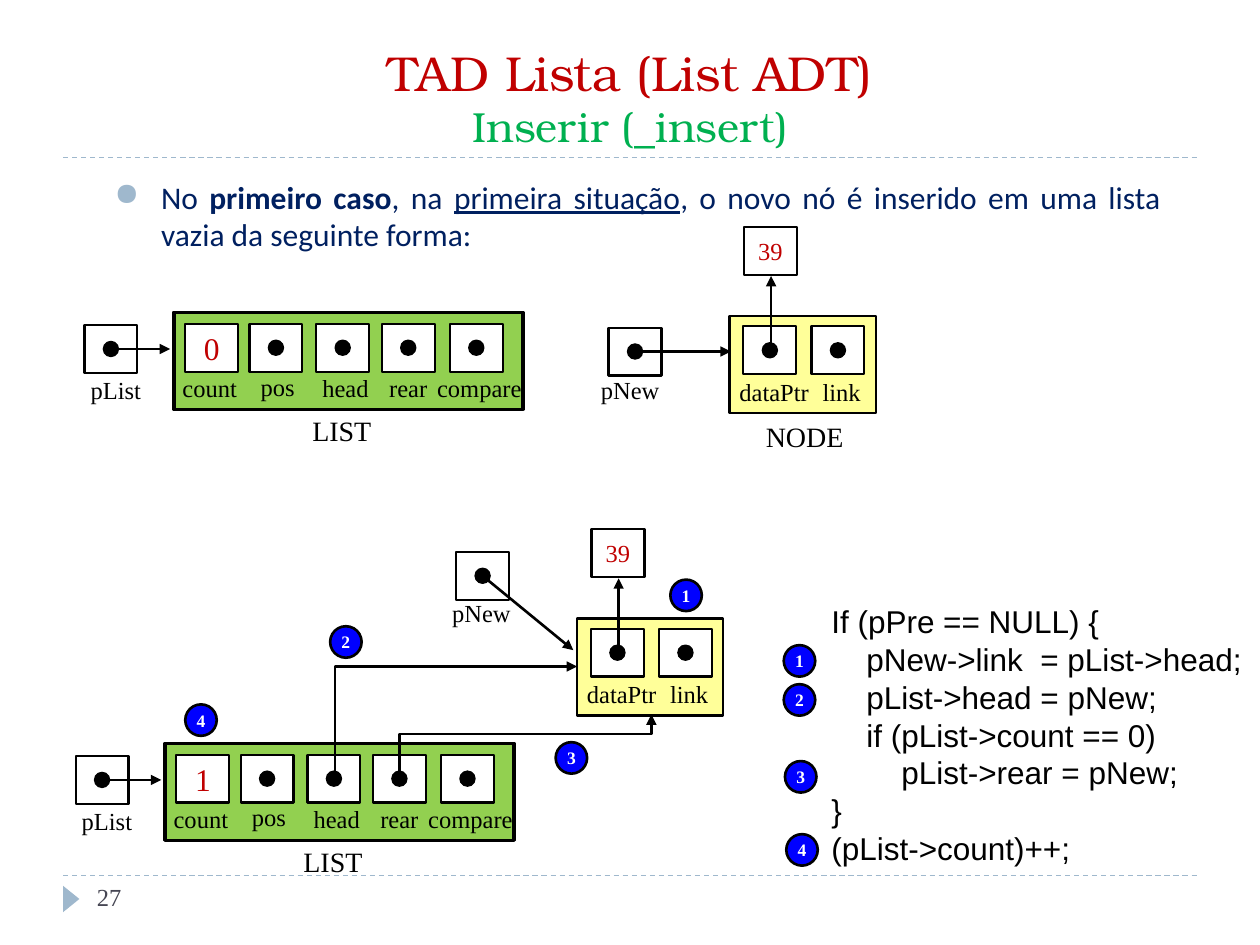
import pptx
import pptx.util
import pptx.dml.color
import pptx.enum.dml
import pptx.enum.shapes
import pptx.enum.text
import pptx.oxml
import pptx.oxml.ns

SHAPE = pptx.enum.shapes.MSO_SHAPE
LINK = pptx.enum.shapes.MSO_CONNECTOR
ALIGN = pptx.enum.text.PP_ALIGN
ANCHOR = pptx.enum.text.MSO_ANCHOR
SERIF = "Times New Roman"
COLS, ROWS = 100, 75
UNIT = pptx.util.Inches(0.1)
CELL_W, CELL_H, DOT, BADGE = 4.2, 3.8, 1.2, 2.5


def grid(*values):
    """Turn columns or rows into lengths."""
    return [round(v * UNIT) for v in values]


def rgb(value):
    """Turn a hex string into a colour."""
    return pptx.dml.color.RGBColor.from_string(value)


def add_xml(parent, tag, **attrs):
    """Append a DrawingML element and return it."""
    el = pptx.oxml.parse_xml(f"<a:{tag} {pptx.oxml.ns.nsdecls('a')}/>")
    for name, value in attrs.items():
        el.set(name, str(value))
    parent.append(el)
    return el


def style(r, size, color, font=SERIF, bold=False):
    """Format one run."""
    r.font.size, r.font.name, r.font.bold = pptx.util.Pt(size), font, bold
    r.font.color.rgb = rgb(color)


def shape(s, kind, box, fill, line=None, weight=1.25):
    """Add a flat preset shape."""
    sp = s.shapes.add_shape(kind, *grid(*box))
    sp.shadow.inherit = False
    sp.fill.solid()
    sp.fill.fore_color.rgb = rgb(fill)
    if line:
        sp.line.color.rgb = rgb(line)
        sp.line.width = pptx.util.Pt(weight)
    else:
        sp.line.fill.background()
    return sp


def center_text(sp, text, size, color, bold=False):
    """Write one centred word in a shape."""
    tf = sp.text_frame
    tf.text, tf.word_wrap = text, False
    tf.vertical_anchor = ANCHOR.MIDDLE
    p = tf.paragraphs[0]
    p.alignment = ALIGN.CENTER
    style(p.runs[0], size, color, bold=bold)


def label(s, box, text, size=14, color="000000"):
    """Add a one-line text box."""
    tf = s.shapes.add_textbox(*grid(*box)).text_frame
    tf.text, tf.word_wrap = text, False
    style(tf.paragraphs[0].runs[0], size, color)


def connect(s, start, end, kind=LINK.STRAIGHT, color="000000", weight=1.5, arrow=True):
    """Add a line without shadow, with an optional arrowhead."""
    c = s.shapes.add_connector(kind, *grid(*start, *end))
    c.line.color.rgb = rgb(color)
    c.line.width = pptx.util.Pt(weight)
    if arrow:
        add_xml(c.line._get_or_add_ln(), "tailEnd", type="triangle")
    add_xml(c._element.spPr, "effectLst")
    return c


def elbow(s, start, end, preset, bend=None):
    """Add a bent arrow that leaves its start upwards."""
    (x1, y1), (x2, y2) = start, end
    cx, cy, w, h = (x1 + x2) / 2, (y1 + y2) / 2, y1 - y2, x2 - x1
    c = connect(s, (cx - w / 2, cy - h / 2), (cx + w / 2, cy + h / 2), LINK.ELBOW)
    sp_pr = c._element.spPr
    sp_pr.find(pptx.oxml.ns.qn("a:xfrm")).set("rot", str(270 * 60000))
    geom = sp_pr.find(pptx.oxml.ns.qn("a:prstGeom"))
    geom.set("prst", preset)
    if bend:
        guides = geom.find(pptx.oxml.ns.qn("a:avLst"))
        add_xml(guides, "gd", name="adj1", fmla=f"val {round(bend * 100000)}")


def cell(s, x, y, text=None, size=14):
    """Add a white field, holding a value if one is given."""
    sp = shape(s, SHAPE.RECTANGLE, (x, y, CELL_W, CELL_H), "FFFFFF", "000000")
    if text:
        center_text(sp, text, size, "C00000")


def dot(s, x, y):
    """Add the dot that stands for a pointer, at the middle of its field."""
    shape(s, SHAPE.OVAL, (x + (CELL_W - DOT) / 2, y + (CELL_H - DOT) / 2, DOT, DOT), "000000", "000000", 0.75)


def pointer(s, x, y, name, name_box, tip):
    """Add a named pointer field with an arrow to its target."""
    cell(s, x, y)
    label(s, name_box, name)
    connect(s, (x + CELL_W / 2, y + CELL_H / 2), tip)
    dot(s, x, y)


def list_record(s, x, y, count):
    """Draw the LIST record and pList, with the record's corner at x, y."""
    g = s.shapes.add_group_shape()
    pointer(g, x - 7.1, y + 1, "pList", (x - 7.6, y + 4.5, 6.1, 3.4), (x - 0.3, y + 2.9))
    label(g, (x + 10, y + 7.5, 6.8, 3.7), "LIST", 16)
    shape(g, SHAPE.RECTANGLE, (x, y, 27.7, 7.7), "92D050", "000000", 2)
    fields = [("count", 0.9, -0.3, 6.4), ("pos", 6, 5.9, 4.8), ("head", 11.3, 10.8, 5.7),
              ("rear", 16.5, 16.1, 5.1), ("compare", 21.9, 19.9, 8.8)]
    for name, dx, label_dx, width in fields:
        first = name == "count"
        cell(g, x + dx, y + 0.9, count if first else None, 18)
        label(g, (x + label_dx, y + (4.2 if name == "pos" else 4.3), width, 3.4), name)
        if not first:
            dot(g, x + dx, y + 0.9)


def node_record(s, x, y, data, pointer_at, name_at, tip):
    """Draw the node with its data and pNew, with the node's corner at x, y."""
    g = s.shapes.add_group_shape()
    shape(g, SHAPE.RECTANGLE, (x, y, 11.6, 7.7), "FFFF99", "000000")
    for name, dx, label_dx, width in [("dataPtr", 1.1, -0.2, 7.6), ("link", 6.5, 6.4, 5.1)]:
        cell(g, x + dx, y + 0.8)
        label(g, (x + label_dx, y + 4.3, width, 3.4), name)
        dot(g, x + dx, y + 0.8)
    connect(g, (x + 3.3, y + 2.5), (x + 3.3, y - 3.2))
    cell(g, x + 1.15, y - 7.1, data)
    pointer(g, *pointer_at, "pNew", (*name_at, 6.7, 3.4), tip)


def heading(s, x, y, w, h):
    """Write the two-line title."""
    tf = s.shapes.add_textbox(*grid(x, y, w, h)).text_frame
    tf.word_wrap, tf.vertical_anchor = True, ANCHOR.BOTTOM
    tf.text = "TAD Lista (List ADT)\vInserir (_insert)"
    p = tf.paragraphs[0]
    p.alignment = ALIGN.CENTER
    for r, size, color in zip(p.runs, (28, 24), ("C00000", "00B050")):
        style(r, size, color, "TeX Gyre Bonum")


def statement(s, x, y, w, h):
    """Write the bulleted sentence."""
    tf = s.shapes.add_textbox(*grid(x, y, w, h)).text_frame
    tf.word_wrap = True
    p = tf.paragraphs[0]
    p.alignment = ALIGN.JUSTIFY
    parts = ["No ", "primeiro caso", ", na ", "primeira situação",
             ", o novo nó é inserido em uma lista vazia da seguinte forma:"]
    for i, text in enumerate(parts):
        r = p.add_run()
        r.text = text
        style(r, 18, "002060", "Calibri", i == 1)
        r.font.underline = i == 3
    p_pr = p._p.get_or_add_pPr()
    indent, = grid(3.7)
    p_pr.set("marL", str(indent))
    p_pr.set("indent", str(-indent))
    add_xml(add_xml(p_pr, "buClr"), "srgbClr", val="9FB8CD")
    add_xml(p_pr, "buChar", char="●")


def code(s, x, y, w, h):
    """Write the code, one paragraph a line, indented by level."""
    tf = s.shapes.add_textbox(*grid(x, y, w, h)).text_frame
    tf.word_wrap = False
    lines = [(0, "If (pPre == NULL) {"), (1, "pNew->link  = pList->head;"), (1, "pList->head = pNew;"),
             (1, "if (pList->count == 0)"), (2, "pList->rear = pNew;"), (0, "}"), (0, "(pList->count)++;")]
    tf.text = "\n".join(text for _, text in lines)
    for p, (level, _) in zip(tf.paragraphs, lines):
        p._p.get_or_add_pPr().set("marL", str(grid(2.78 * level)[0]))
        style(p.runs[0], 18, "000000", "Arial")


def frame(s):
    """Add the rules, the corner mark and the page number."""
    for y in (12.5, 69.5):
        c = connect(s, (5, y), (COLS - 5, y), color="9FB8CD", weight=0.75, arrow=False)
        c.line.dash_style = pptx.enum.dml.MSO_LINE.DASH
    shape(s, SHAPE.ISOSCELES_TRIANGLE, (4.6, 70.7, 2.1, 1.3), "9FB8CD").rotation = 90
    label(s, (6.7, 69.5, 4, 4), "27", color="464653")


def main():
    """Build the slide."""
    prs = pptx.Presentation()
    prs.slide_width, prs.slide_height = grid(COLS, ROWS)
    s = prs.slides.add_slide(prs.slide_layouts[6])
    frame(s)
    heading(s, 5, 2.5, 90, 10)
    statement(s, 8.1, 13.6, 85, 7.2)
    list_record(s, 13.8, 24.8, "0")
    node_record(s, 57.9, 25.1, "39", (48.3, 26), (46.7, 29.3), (58, 27.9))
    label(s, (59.8, 32.8, 8.2, 3.7), "NODE", 16)
    code(s, 65, 47.3, 34.6, 22.2)
    list_record(s, 13.1, 59, "1")
    node_record(s, 45.8, 49.1, "39", (36.2, 43.8), (34.9, 47), (45.5, 51.6))
    elbow(s, (26.6, 61.3), (45.8, 52.9), "bentConnector2")
    elbow(s, (31.7, 61.3), (51.7, 56.7), "bentConnector3", 0.66)
    badges = [("1", 53.2, 46), ("2", 26.2, 49.7), ("3", 44.1, 58.9), ("4", 14.7, 55.9),
              ("1", 62.2, 51.2), ("2", 62.2, 54.3), ("3", 62.3, 60.4), ("4", 62.4, 66.2)]
    for step, x, y in badges:
        sp = shape(s, SHAPE.OVAL, (x, y, BADGE, BADGE), "0000FF", "000000", 1.5)
        center_text(sp, step, 10, "FFFFFF", True)
    prs.save("out.pptx")


if __name__ == "__main__":
    main()
